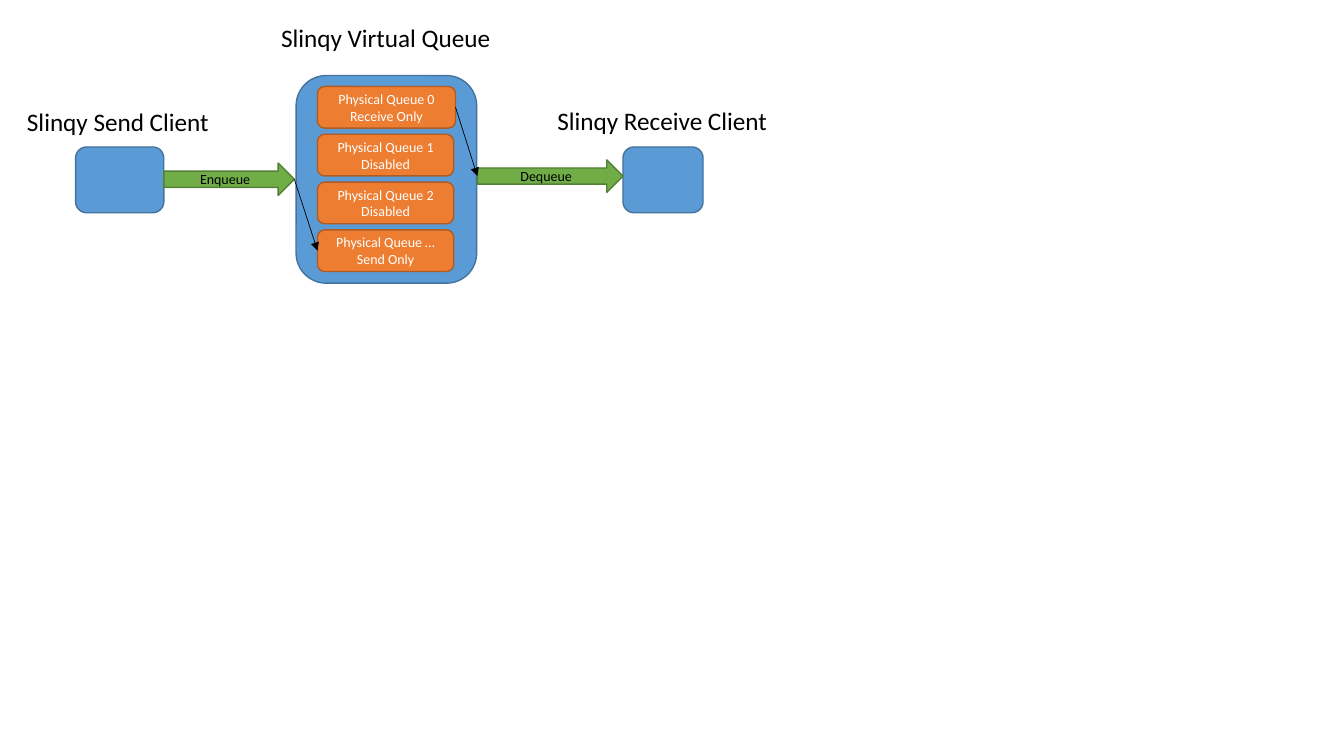
from lxml.etree import SubElement
from pptx import Presentation
from pptx.dml.color import RGBColor
from pptx.enum.shapes import MSO_CONNECTOR, MSO_SHAPE
from pptx.enum.text import MSO_ANCHOR, MSO_AUTO_SIZE, PP_ALIGN
from pptx.oxml.ns import qn
from pptx.util import Pt

BLUE = ("5B9BD5", "43739E")
ORANGE = ("ED7D31", "AF5C24")
GREEN = ("70AD47", "538035")
WHITE = "FFFFFF"
BLACK = "000000"

QUEUES = [
    ("Physical Queue 0\nReceive Only", 98.6),
    ("Physical Queue 1\nDisabled", 97.2),
    ("Physical Queue 2\nDisabled", 97.2),
    ("Physical Queue …\nSend Only", 97.2),
]
TITLES = [
    ("Slinqy Virtual Queue", 193.7, 12.2, 165.6),
    ("Slinqy Send Client", 12.2, 72.3, 146.2),
    ("Slinqy Receive Client", 391, 72, 166.3),
]


def color(code):
    return RGBColor.from_string(code)


def apply(target, values):
    for name, value in values.items():
        setattr(target, name, value)


def write(frame, text, size, code, align):
    frame.text = text
    for para in frame.paragraphs:
        para.alignment = align
        apply(para.font, {"name": "Calibri", "size": Pt(size)})
        para.font.color.rgb = color(code)


def block(slide, kind, box, paint, text="", ink=WHITE):
    shape = slide.shapes.add_shape(kind, *map(Pt, box))
    shape.shadow.inherit = False
    shape.fill.solid()
    shape.fill.fore_color.rgb = color(paint[0])
    shape.line.color.rgb = color(paint[1])
    shape.line.width = Pt(1)
    if text:
        apply(shape.text_frame, {"word_wrap": True, "vertical_anchor": MSO_ANCHOR.MIDDLE})
        write(shape.text_frame, text, 10, ink, PP_ALIGN.CENTER)
    return shape


def title(slide, text, left, top, width):
    frame = slide.shapes.add_textbox(Pt(left), Pt(top), Pt(width), Pt(29)).text_frame
    apply(frame, {"word_wrap": False, "auto_size": MSO_AUTO_SIZE.SHAPE_TO_FIT_TEXT})
    write(frame, text, 18, BLACK, PP_ALIGN.LEFT)


def link(slide, start, end):
    line = slide.shapes.add_connector(MSO_CONNECTOR.STRAIGHT, 0, 0, 0, 0)
    line.begin_connect(start, 3)
    line.end_connect(end, 1)
    line.line.color.rgb = color(BLACK)
    line.line.width = Pt(0.5)
    props = line._element.spPr
    SubElement(props.find(qn("a:ln")), qn("a:tailEnd"), type="triangle")
    SubElement(props, qn("a:effectLst"))


def main():
    deck = Presentation()
    apply(deck, {"slide_width": Pt(960), "slide_height": Pt(540)})
    slide = deck.slides.add_slide(deck.slide_layouts[6])
    round_box, arrow = MSO_SHAPE.ROUNDED_RECTANGLE, MSO_SHAPE.RIGHT_ARROW

    send = (54, 105, 63, 47)
    virtual = (211.5, 54, 129, 148.3)
    receive = (445, 105, 57.2, 47)
    for box in (send, virtual, receive):
        block(slide, round_box, box, BLUE)

    queues = [
        block(slide, round_box, (226.8, 61.8 + 34.15 * row, width, 29.7), ORANGE, text)
        for row, (text, width) in enumerate(QUEUES)
    ]
    for item in TITLES:
        title(slide, *item)

    enqueue = block(slide, arrow, (117, 116.5, 93.3, 23.2), GREEN, "Enqueue", BLACK)
    dequeue = block(slide, arrow, (341, 114.2, 104, 23.2), GREEN, "Dequeue", BLACK)
    link(slide, enqueue, queues[-1])
    link(slide, queues[0], dequeue)
    deck.save("out.pptx")


main()
